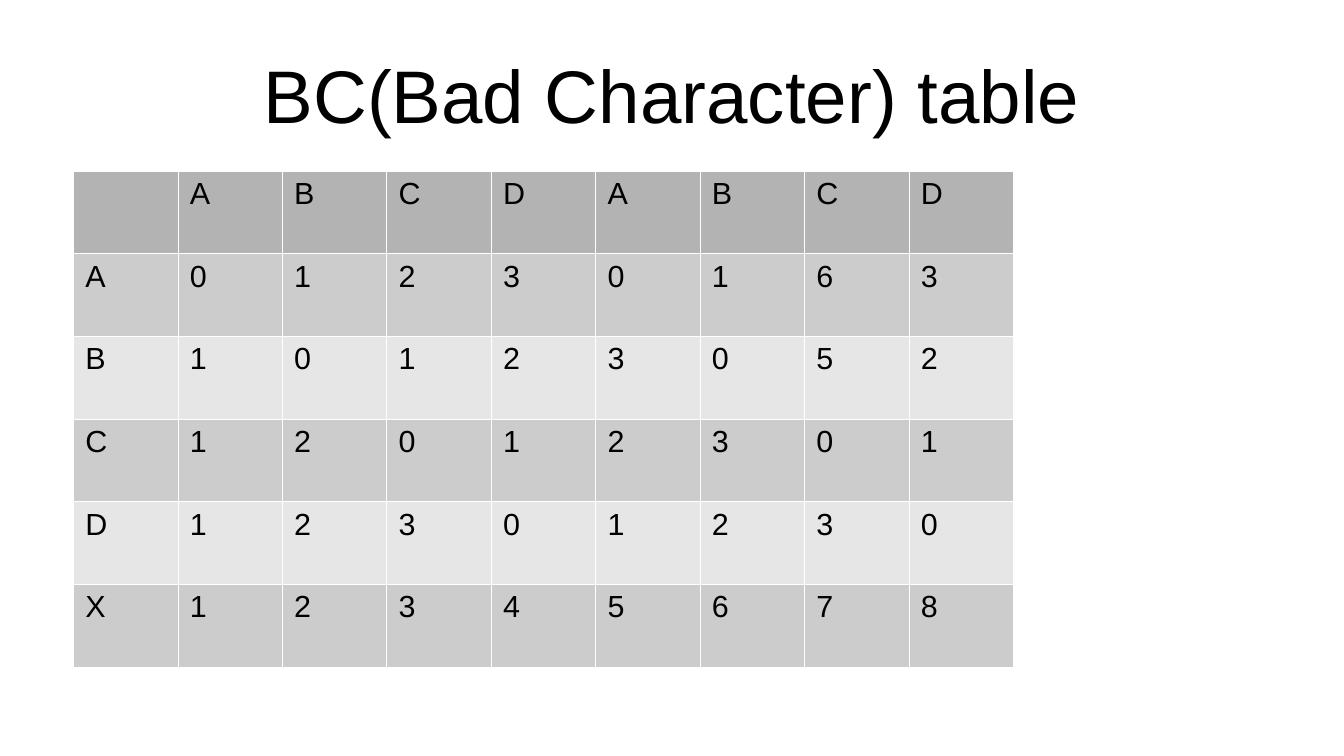
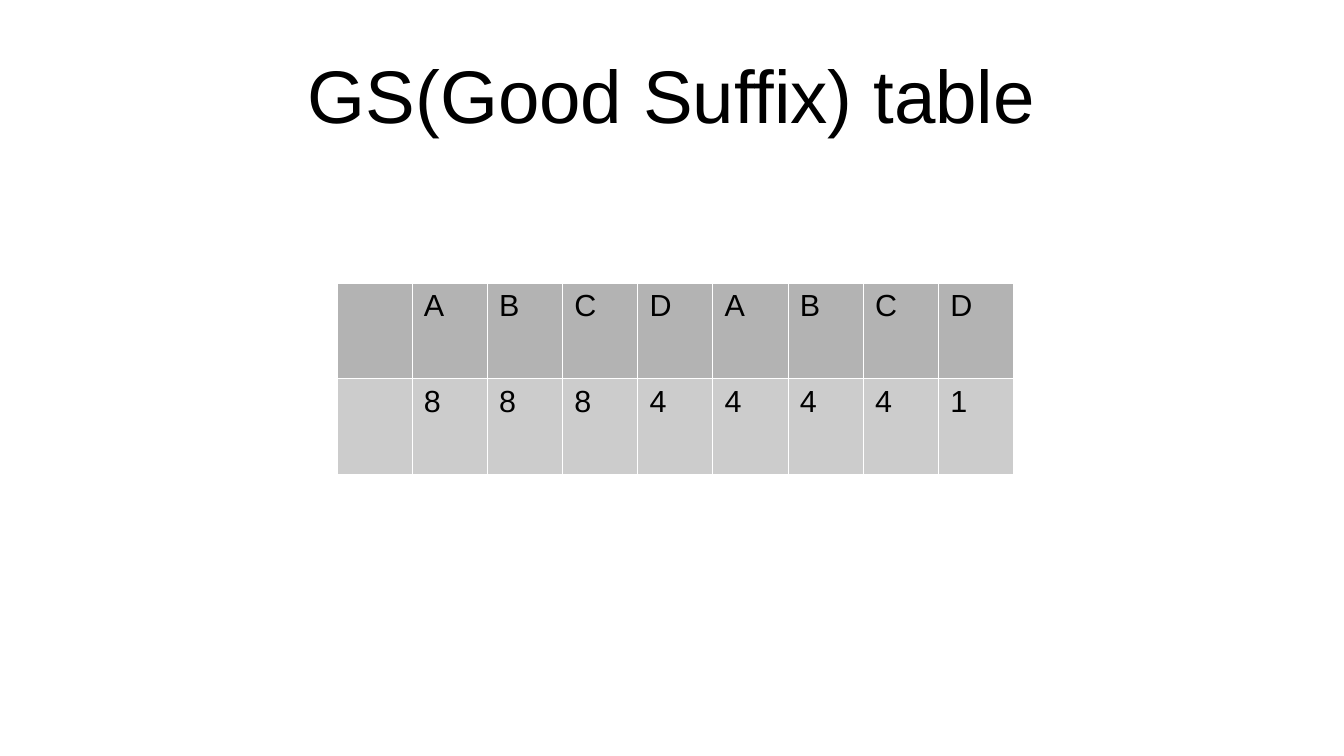
from dataclasses import dataclass

from lxml.etree import SubElement
from pptx import Presentation
from pptx.dml.color import RGBColor
from pptx.enum.text import MSO_ANCHOR, PP_ALIGN
from pptx.oxml.ns import qn
from pptx.slide import Slide
from pptx.table import _Cell
from pptx.text.text import TextFrame
from pptx.util import Inches, Pt

COLORS = {
    "text": "000000",
    "border": "FFFFFF",
    "header": "B3B3B3",
    "odd_row": "CCCCCC",
    "even_row": "E6E6E6",
}
FONT = "Arial"
TITLE_SIZE = 44
CELL_SIZE = 18
BORDER_WIDTH = 0.06
BORDER_SIDES = ("a:lnL", "a:lnR", "a:lnT", "a:lnB")


@dataclass(frozen=True)
class TableSlide:
    title: str
    left: float
    top: float
    width: float
    height: float
    labels: list[str]
    rows: list[str]


TABLE_SLIDES = [
    TableSlide(
        title="BC(Bad Character) table",
        left=0.6, top=1.4, width=7.71, height=4.07,
        labels=["", "A", "B", "C", "D", "X"],
        rows=["ABCDABCD", "01230163", "10123052", "12012301", "12301230", "12345678"],
    ),
    TableSlide(
        title="GS(Good Suffix) table",
        left=2.76, top=2.32, width=5.55, height=1.57,
        labels=["", ""],
        rows=["ABCDABCD", "88844441"],
    ),
]


def write_text(text_frame: TextFrame, text: str, size: float) -> None:
    text_frame.text = text
    paragraph = text_frame.paragraphs[0]
    paragraph.font.size = Pt(size)
    for run in paragraph.runs:
        run.font.size = Pt(size)
        run.font.name = FONT
        run.font.color.rgb = RGBColor.from_string(COLORS["text"])


def add_title(slide: Slide, text: str) -> None:
    shape = slide.shapes.add_textbox(Inches(0.55), Inches(0.25), Inches(9.92), Inches(1.04))
    text_frame = shape.text_frame
    text_frame.word_wrap = True
    text_frame.vertical_anchor = MSO_ANCHOR.MIDDLE
    text_frame.margin_left = text_frame.margin_right = 0
    text_frame.margin_top = text_frame.margin_bottom = 0
    write_text(text_frame, text, TITLE_SIZE)
    text_frame.paragraphs[0].alignment = PP_ALIGN.CENTER


def set_borders(cell: _Cell) -> None:
    properties = cell._tc.get_or_add_tcPr()
    for side in BORDER_SIDES:
        line = SubElement(properties, qn(side), w=str(int(Pt(BORDER_WIDTH))))
        fill = SubElement(line, qn("a:solidFill"))
        SubElement(fill, qn("a:srgbClr"), val=COLORS["border"])


def row_color(row_index: int) -> str:
    if row_index == 0:
        return COLORS["header"]
    return COLORS["odd_row" if row_index % 2 else "even_row"]


def add_shift_table(slide: Slide, content: TableSlide) -> None:
    grid = [[label, *values] for label, values in zip(content.labels, content.rows)]
    row_count, column_count = len(grid), len(grid[0])
    table = slide.shapes.add_table(
        row_count, column_count,
        Inches(content.left), Inches(content.top),
        Inches(content.width), Inches(content.height),
    ).table
    table.first_row = False
    table.horz_banding = False
    for column in table.columns:
        column.width = Inches(content.width / column_count)
    for row_index, texts in enumerate(grid):
        table.rows[row_index].height = Inches(content.height / row_count)
        for column_index, text in enumerate(texts):
            cell = table.cell(row_index, column_index)
            cell.margin_left = cell.margin_right = Inches(0.1)
            cell.margin_top = cell.margin_bottom = Inches(0.05)
            set_borders(cell)
            cell.fill.solid()
            cell.fill.fore_color.rgb = RGBColor.from_string(row_color(row_index))
            write_text(cell.text_frame, text, CELL_SIZE)


def main() -> None:
    presentation = Presentation()
    presentation.slide_width = Inches(11.02)
    presentation.slide_height = Inches(6.2)
    for content in TABLE_SLIDES:
        slide = presentation.slides.add_slide(presentation.slide_layouts[6])
        add_title(slide, content.title)
        add_shift_table(slide, content)
    presentation.save("out.pptx")


if __name__ == "__main__":
    main()
